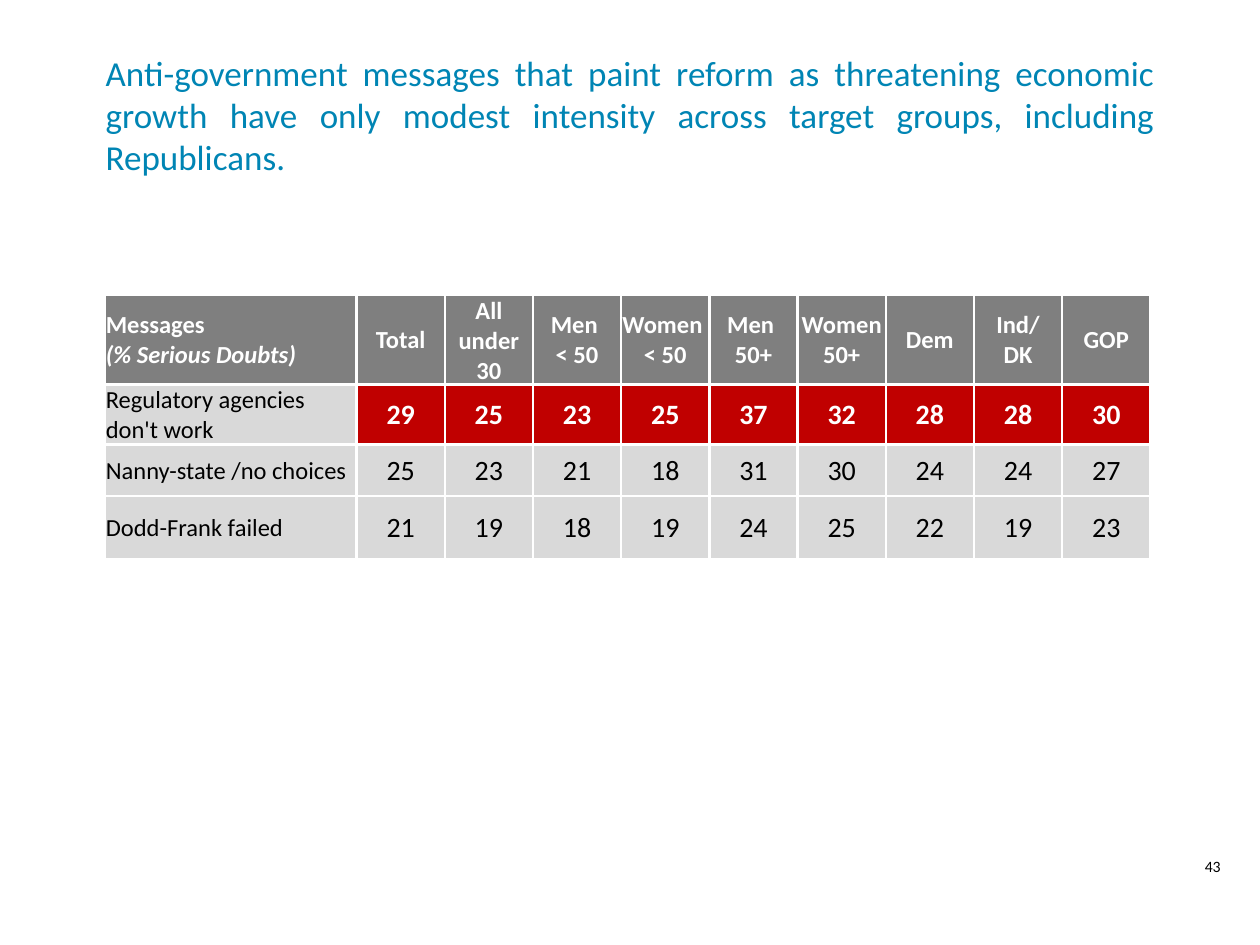
import pptx
import pptx.util
import pptx.dml.color
import pptx.enum.text
import pptx.oxml
import pptx.oxml.ns

Inches = pptx.util.Inches
ALIGN = pptx.enum.text.PP_ALIGN
MIDDLE = pptx.enum.text.MSO_ANCHOR.MIDDLE

COLORS = {
    "title": "0085B4",
    "header": "7F7F7F",
    "body": "D9D9D9",
    "highlight": "C00000",
    "white": "FFFFFF",
    "black": "000000",
}
TITLE = (
    "Anti-government messages that paint reform as threatening economic growth "
    "have only modest intensity across target groups, including Republicans. "
)
PAGE_NUMBER = "43"
HEADERS = [
    ["Messages", "(% Serious Doubts)"],
    ["Total"],
    ["All under 30"],
    ["Men ", "< 50"],
    ["Women ", "< 50"],
    ["Men ", "50+"],
    ["Women 50+"],
    ["Dem"],
    ["Ind/", "DK"],
    ["GOP"],
]
MESSAGES = [
    ("Regulatory agencies don't work", [29, 25, 23, 25, 37, 32, 28, 28, 30]),
    ("Nanny-state /no choices", [25, 23, 21, 18, 31, 30, 24, 24, 27]),
    ("Dodd-Frank failed", [21, 19, 18, 19, 24, 25, 22, 19, 23]),
]
HIGHLIGHT_ROW = 1
COLUMN_WIDTHS = [2] + [0.7] * 9
ROW_HEIGHTS = [0.53, 0.31, 0.41, 0.5]


def rgb(name):
    return pptx.dml.color.RGBColor.from_string(COLORS[name])


def write(frame, lines, size, color, align=ALIGN.LEFT, bold=False, italic_lines=()):
    for index, line in enumerate(lines):
        para = frame.paragraphs[0] if index == 0 else frame.add_paragraph()
        para.alignment = align
        span = para.add_run()
        span.text = line
        span.font.name = "Calibri"
        span.font.size = pptx.util.Pt(size)
        span.font.bold = bold
        span.font.italic = index in italic_lines
        span.font.color.rgb = rgb(color)


def add_text(page, place, lines, anchor=None, **text_format):
    box = page.shapes.add_textbox(*map(Inches, place))
    box.text_frame.word_wrap = True
    box.text_frame.vertical_anchor = anchor
    write(box.text_frame, lines, **text_format)


def style_cell(cell, fill):
    cell.margin_left = cell.margin_right = cell.margin_top = Inches(0.01)
    cell.margin_bottom = 0
    cell.vertical_anchor = MIDDLE
    cell.fill.solid()
    cell.fill.fore_color.rgb = rgb(fill)
    properties = cell._tc.get_or_add_tcPr()
    for index, side in enumerate(("lnL", "lnR", "lnT", "lnB")):
        border = pptx.oxml.parse_xml(
            f'<a:{side} {pptx.oxml.ns.nsdecls("a")} w="{pptx.util.Pt(1.5)}"><a:solidFill>'
            f'<a:srgbClr val="{COLORS["white"]}"/></a:solidFill></a:{side}>'
        )
        properties.insert(index, border)


def add_message_table(page):
    place = (0.83, 2.34, sum(COLUMN_WIDTHS), sum(ROW_HEIGHTS))
    rows = [HEADERS] + [
        [[label]] + [[str(value)] for value in values] for label, values in MESSAGES
    ]
    table = page.shapes.add_table(len(rows), len(HEADERS), *map(Inches, place)).table
    for column, width in zip(table.columns, COLUMN_WIDTHS):
        column.width = Inches(width)
    for row, height in zip(table.rows, ROW_HEIGHTS):
        row.height = Inches(height)

    for row_index, row in enumerate(rows):
        for column_index, lines in enumerate(row):
            is_header = row_index == 0
            is_label = column_index == 0
            is_highlight = row_index == HIGHLIGHT_ROW and not is_label
            strong = is_header or is_highlight
            fill = "header" if is_header else "highlight" if is_highlight else "body"
            cell = table.cell(row_index, column_index)
            style_cell(cell, fill)
            write(
                cell.text_frame,
                lines,
                size=14 if is_header or is_label else 16,
                color="white" if strong else "black",
                align=ALIGN.LEFT if is_label else ALIGN.CENTER,
                bold=strong,
                italic_lines=(1,) if is_header and is_label else (),
            )


def main():
    deck = pptx.Presentation()
    deck.slide_width, deck.slide_height = Inches(10), Inches(7.5)
    page = deck.slides.add_slide(deck.slide_layouts[6])
    add_text(page, (0.74, 0.33, 8.52, 1.16), [TITLE], anchor=MIDDLE,
             size=20, color="title", align=ALIGN.JUSTIFY)
    add_message_table(page)
    add_text(page, (9.25, 6.75, 0.75, 0.33), [PAGE_NUMBER],
             size=9, color="black", align=ALIGN.CENTER)
    deck.save("out.pptx")


if __name__ == "__main__":
    main()
